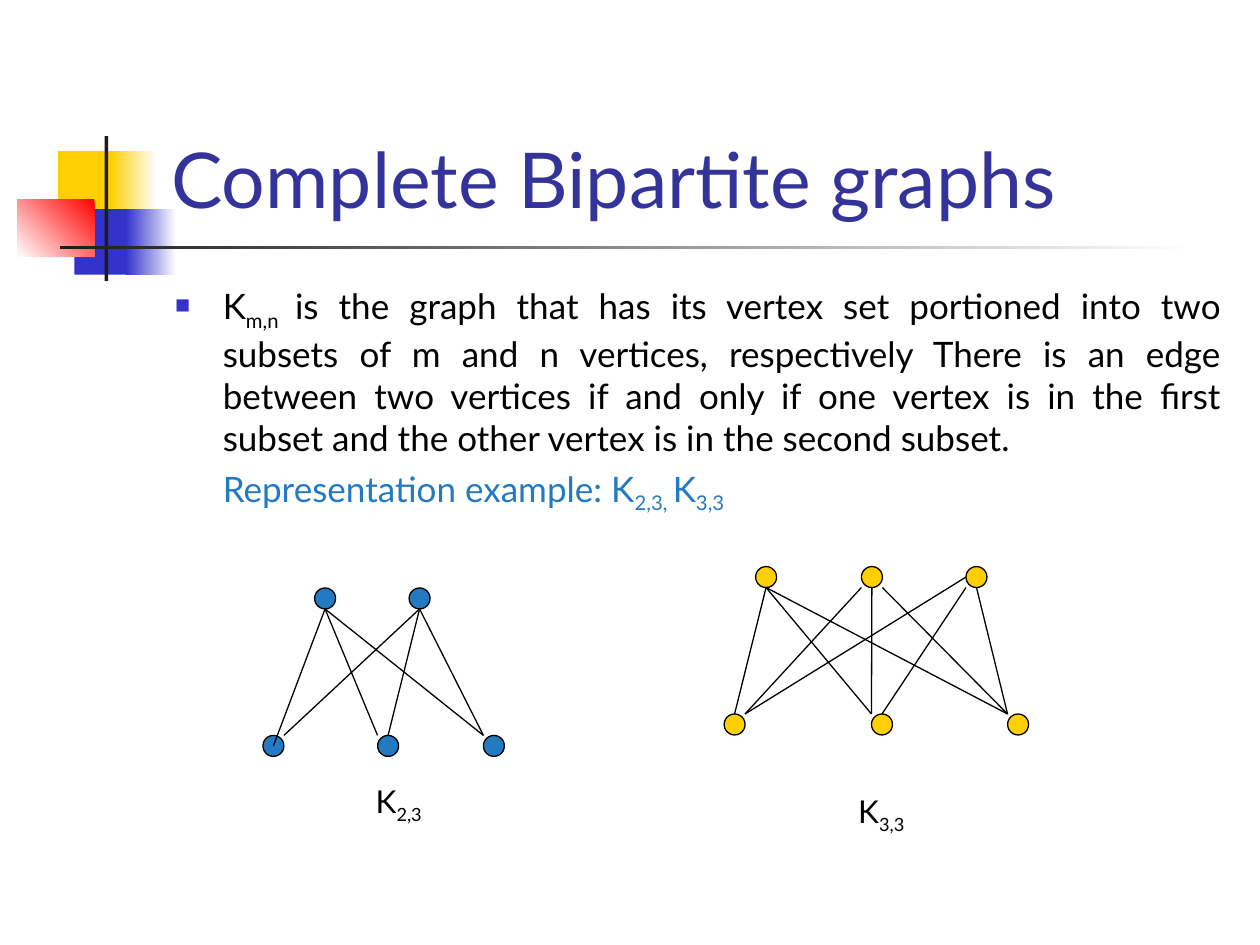
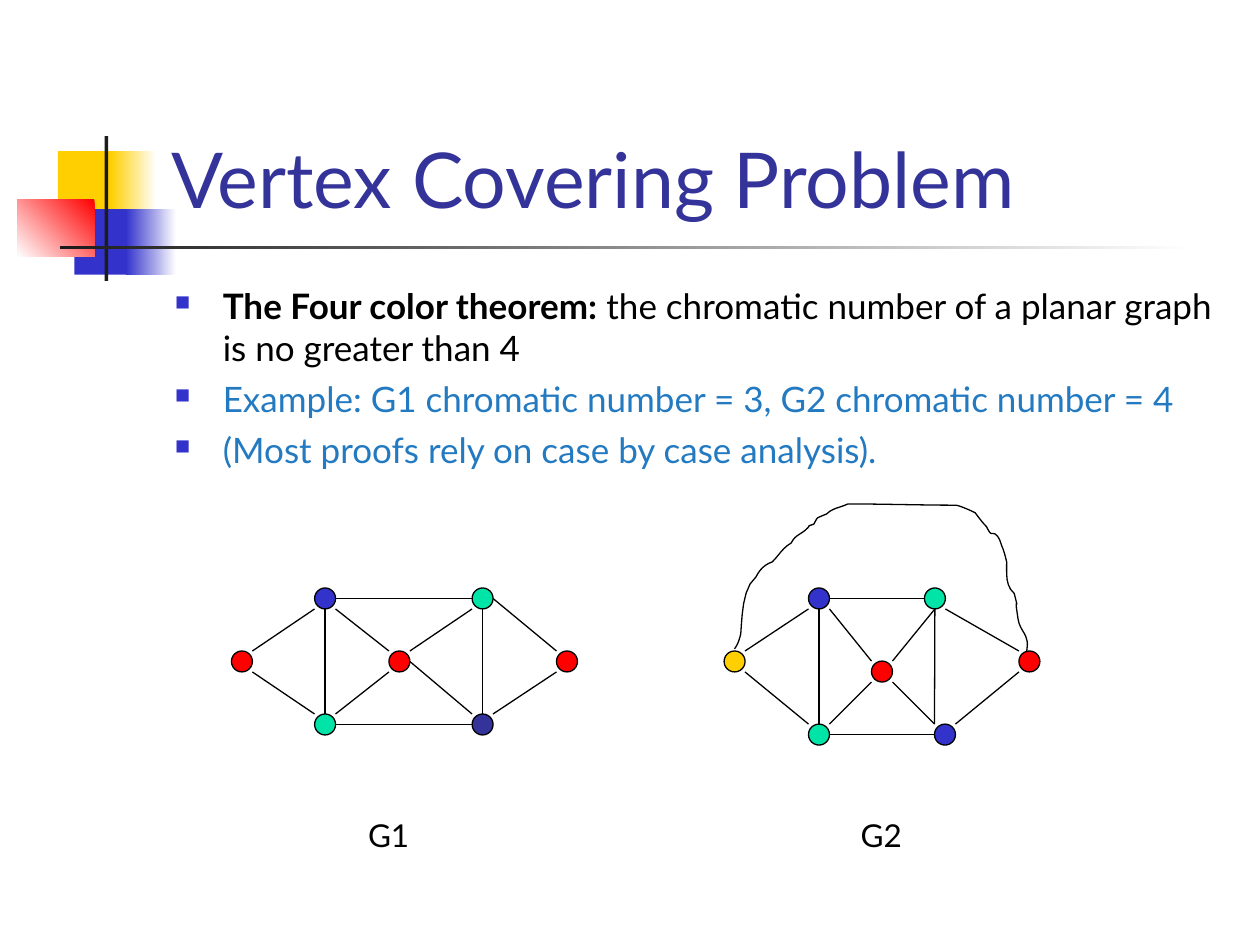
from dataclasses import dataclass
from typing import NamedTuple

from lxml.etree import SubElement
from pptx import Presentation
from pptx.dml.color import RGBColor
from pptx.enum.shapes import MSO_CONNECTOR, MSO_SHAPE
from pptx.enum.text import MSO_ANCHOR, MSO_AUTO_SIZE, PP_ALIGN
from pptx.oxml.ns import qn
from pptx.util import Inches, Pt

FONT = "Lato"
BLACK, WHITE, CHARCOAL = "000000", "FFFFFF", "1C1C1C"
NAVY, BLUE, SKY = "333399", "3333CC", "237AC1"
YELLOW, RED, GREEN = "FFCF01", "FF0000", "00E4A8"
RADIUS = 1 / 12
LINE_WIDTH = Pt(0.75)

# Unit offsets from a vertex centre to the point where an edge ends
COMPASS = {"n": (0, -1), "ne": (1, -1), "e": (1, 0), "se": (1, 1), "s": (0, 1),
           "sw": (-1, 1), "w": (-1, 0), "nw": (-1, -1), "mid": (0, 0)}


class Run(NamedTuple):
    text: str
    color: str = BLACK
    bold: bool = False
    sub: bool = False


class Paragraph(NamedTuple):
    runs: list[Run]
    bullet: bool = True
    align: PP_ALIGN = PP_ALIGN.LEFT


class Band(NamedTuple):
    left: float
    top: float
    width: float
    height: float
    colors: tuple[str, ...]
    angle: int = 180


class Vertex(NamedTuple):
    x: float
    y: float
    color: str


@dataclass
class Graph:
    """Edges read "vertex.side-vertex.side", separated by spaces."""
    vertices: dict[str, Vertex]
    edges: str
    label: list[Run]
    label_left: float
    label_top: float


BANDS = [
    Band(0.46, 1.2, 0.48, 0.52, (YELLOW,)),
    Band(0.88, 1.2, 0.36, 0.52, (WHITE, YELLOW)),
    Band(0.59, 1.66, 0.46, 0.52, (BLUE,)),
    Band(1, 1.66, 0.4, 0.52, (WHITE, BLUE)),
    Band(0.14, 1.58, 0.61, 0.46, (RED, WHITE), 225),
    Band(0.83, 1.08, 0.03, 1.15, (CHARCOAL,)),
    Band(0.48, 1.95, 9, 0.03, (WHITE, CHARCOAL)),
]


def row(names: str, xs: list[float], y: float, color: str) -> dict[str, Vertex]:
    """Vertices of one colour at one height."""
    return {name: Vertex(x, y, color) for name, x in zip(names, xs)}


K23 = Graph(
    row("ab", [2.58, 3.33], 4.75, SKY) | row("cde", [2.17, 3.08, 3.92], 5.92, SKY),
    "a.s-c.mid a.s-d.nw a.s-e.nw b.s-c.ne b.s-d.n b.s-e.nw",
    [Run("K"), Run("2,3", sub=True)], 3, 6.25)
K33 = Graph(
    row("abc", [6.08, 6.92, 7.75], 4.58, YELLOW)
    | row("def", [5.83, 7, 8.08], 5.75, YELLOW),
    "a.s-d.n a.s-e.nw a.s-f.nw b.sw-d.ne b.s-e.nw b.se-f.nw c.w-d.ne c.sw-e.n c.s-f.nw",
    [Run("K"), Run("3,3", sub=True)], 6.83, 6.33)

# Both planar graphs: a, b on top, c, d below, and l, m, r from left to right
PLANAR_EDGES = ("a.e-b.w c.e-d.w a.s-c.n a.se-m.nw c.ne-m.sw "
                "l.ne-a.sw l.se-c.nw d.ne-r.sw ")
G1 = Graph(
    {"a": Vertex(2.58, 4.75, BLUE), "b": Vertex(3.83, 4.75, GREEN),
     "c": Vertex(2.58, 5.75, GREEN), "d": Vertex(3.83, 5.75, NAVY)}
    | row("lmr", [1.92, 3.17, 4.5], 5.25, RED),
    PLANAR_EDGES + "m.ne-b.sw m.e-d.nw b.s-d.n b.e-r.nw",
    [Run("G1")], 2.92, 6.5)
G2 = Graph(
    {"a": Vertex(6.5, 4.75, BLUE), "b": Vertex(7.42, 4.75, GREEN),
     "c": Vertex(6.5, 5.83, GREEN), "d": Vertex(7.5, 5.83, BLUE),
     "l": Vertex(5.83, 5.25, YELLOW), "m": Vertex(7, 5.33, RED),
     "r": Vertex(8.17, 5.25, RED)},
    PLANAR_EDGES + "m.ne-b.s m.se-d.nw b.s-d.nw b.se-r.nw",
    [Run("G2")], 6.83, 6.5)

# The outer edge of G2: a start, then two control points and an end per curve
OUTER_START = (5.83, 5.15)
OUTER_CURVES = [
    (5.86, 5.11, 5.87, 5.07, 5.88, 5.03), (5.89, 4.9, 5.89, 4.67, 6, 4.58),
    (6.03, 4.52, 6.07, 4.48, 6.13, 4.46), (6.19, 4.4, 6.21, 4.35, 6.28, 4.31),
    (6.31, 4.25, 6.34, 4.25, 6.39, 4.21), (6.46, 4.15, 6.38, 4.19, 6.46, 4.16),
    (6.47, 4.14, 6.48, 4.12, 6.49, 4.11), (6.51, 4.1, 6.56, 4.08, 6.56, 4.08),
    (6.61, 4.03, 6.67, 4.03, 6.73, 4), (7.01, 4, 7.3, 4.01, 7.59, 4.01),
    (7.64, 4.02, 7.74, 4.07, 7.74, 4.07), (7.77, 4.11, 7.8, 4.15, 7.83, 4.18),
    (7.84, 4.2, 7.85, 4.22, 7.86, 4.23), (7.87, 4.24, 7.89, 4.23, 7.9, 4.24),
    (7.93, 4.26, 7.94, 4.3, 7.95, 4.33), (7.97, 4.37, 7.99, 4.46, 7.99, 4.46),
    (7.99, 4.56, 7.98, 4.65, 8.05, 4.71), (8.1, 4.91, 8.04, 4.66, 8.08, 4.91),
    (8.09, 4.99, 8.14, 5.02, 8.15, 5.08), (8.16, 5.11, 8.15, 5.14, 8.15, 5.17),
]


def rgb(color: str) -> RGBColor:
    return RGBColor.from_string(color)


def write(paragraph, text: str, *, size: float, color: str = BLACK,
          bold: bool = False, sub: bool = False) -> None:
    run = paragraph.add_run()
    run.text = text
    run.font.name, run.font.size, run.font.bold = FONT, Pt(size), bold
    run.font.color.rgb = rgb(color)
    if sub:
        run._r.get_or_add_rPr().set("baseline", "-25000")


def write_runs(paragraph, runs: list[Run], size: float) -> None:
    for run in runs:
        write(paragraph, run.text, size=size, color=run.color, bold=run.bold, sub=run.sub)


def add_filled(slide, preset, left: float, top: float, width: float, height: float,
               fill: str, outline: str | None = None):
    shape = slide.shapes.add_shape(preset, Inches(left), Inches(top),
                                   Inches(width), Inches(height))
    shape.shadow.inherit = False
    shape.fill.solid()
    shape.fill.fore_color.rgb = rgb(fill)
    if outline:
        shape.line.color.rgb, shape.line.width = rgb(outline), LINE_WIDTH
    else:
        shape.line.fill.background()
    return shape


def add_band(slide, band: Band) -> None:
    shape = add_filled(slide, MSO_SHAPE.RECTANGLE, band.left, band.top,
                       band.width, band.height, band.colors[0])
    if len(band.colors) > 1:
        shape.fill.gradient()
        shape.fill.gradient_angle = band.angle
        for stop, color, position in zip(shape.fill.gradient_stops, band.colors, (0, 1)):
            stop.color.rgb, stop.position = rgb(color), position


def add_titled_slide(deck, heading: str):
    slide = deck.slides.add_slide(deck.slide_layouts[5])
    for band in BANDS:
        add_band(slide, band)
    title = slide.shapes.title
    title.left, title.top = Inches(1.26), Inches(0.23)
    title.width, title.height = Inches(8.52), Inches(1.6)
    frame = title.text_frame
    frame.auto_size, frame.vertical_anchor = MSO_AUTO_SIZE.NONE, MSO_ANCHOR.BOTTOM
    frame.paragraphs[0].alignment = PP_ALIGN.LEFT
    write(frame.paragraphs[0], heading, size=44, color=NAVY)
    return slide


def set_indent(paragraph, bullet: bool) -> None:
    properties = paragraph._p.get_or_add_pPr()
    properties.set("marL", str(Inches(0.38)))
    properties.set("indent", str(-Inches(0.38) if bullet else 0))
    if bullet:
        color = SubElement(properties, qn("a:buClr"))
        SubElement(color, qn("a:srgbClr"), val=BLUE)
        SubElement(properties, qn("a:buSzPct"), val="60000")
        SubElement(properties, qn("a:buChar"), char="■")


def add_body(slide, height: float, paragraphs: list[Paragraph]) -> None:
    frame = slide.shapes.add_textbox(Inches(1.29), Inches(2.21),
                                     Inches(8.5), Inches(height)).text_frame
    frame.word_wrap = True
    for index, content in enumerate(paragraphs):
        paragraph = frame.add_paragraph() if index else frame.paragraphs[0]
        set_indent(paragraph, content.bullet)
        paragraph.alignment = content.align
        if index:
            paragraph.space_before = Pt(5)
        write_runs(paragraph, content.runs, 20)


def edge_end(graph: Graph, end: str) -> tuple[int, int]:
    name, side = end.split(".")
    vertex, (dx, dy) = graph.vertices[name], COMPASS[side]
    return Inches(vertex.x + dx * RADIUS), Inches(vertex.y + dy * RADIUS)


def add_graph(slide, graph: Graph) -> None:
    for vertex in graph.vertices.values():
        add_filled(slide, MSO_SHAPE.OVAL, vertex.x - RADIUS, vertex.y - RADIUS,
                   2 * RADIUS, 2 * RADIUS, vertex.color, BLACK)
    for edge in graph.edges.split():
        start, end = (edge_end(graph, part) for part in edge.split("-"))
        line = slide.shapes.add_connector(MSO_CONNECTOR.STRAIGHT, *start, *end)
        line.line.color.rgb, line.line.width = rgb(BLACK), LINE_WIDTH
        SubElement(line._element.spPr, qn("a:effectLst"))
    label = add_filled(slide, MSO_SHAPE.RECTANGLE, graph.label_left, graph.label_top,
                       0.33, 0.25, WHITE, WHITE)
    frame = label.text_frame
    frame.word_wrap, frame.vertical_anchor = False, MSO_ANCHOR.MIDDLE
    frame.paragraphs[0].alignment = PP_ALIGN.CENTER
    write_runs(frame.paragraphs[0], graph.label, 18)


def add_outer_edge(slide, steps: int = 6) -> None:
    """Draw the cubic curves as one fine polyline."""
    points, (x, y) = [], OUTER_START
    for x1, y1, x2, y2, x3, y3 in OUTER_CURVES:
        for step in range(1, steps + 1):
            t = step / steps
            weights = ((1 - t) ** 3, 3 * t * (1 - t) ** 2, 3 * t * t * (1 - t), t ** 3)
            points.append(tuple(Inches(sum(w * c for w, c in zip(weights, axis)))
                                for axis in ((x, x1, x2, x3), (y, y1, y2, y3))))
        x, y = x3, y3
    builder = slide.shapes.build_freeform(*(Inches(c) for c in OUTER_START))
    builder.add_line_segments(points, close=False)
    outline = builder.convert_to_shape()
    outline.shadow.inherit = False
    outline.fill.background()
    outline.line.color.rgb, outline.line.width = rgb(BLACK), LINE_WIDTH


def add_bipartite_slide(deck) -> None:
    slide = add_titled_slide(deck, "Complete Bipartite graphs")
    add_body(slide, 1.96, [
        Paragraph([
            Run("K"), Run("m,n ", sub=True),
            Run("is the graph that has its vertex set portioned into two subsets of m and n "
                "vertices, respectively There is an edge between two vertices if and only if "
                "one vertex is in the first subset and the other vertex is in the second "
                "subset."),
        ], align=PP_ALIGN.JUSTIFY),
        Paragraph([
            Run("Representation example: K", SKY), Run("2,3, ", SKY, sub=True),
            Run("K", SKY), Run("3,3", SKY, sub=True),
        ], bullet=False, align=PP_ALIGN.JUSTIFY),
    ])
    for graph in (K23, K33):
        add_graph(slide, graph)


def add_covering_slide(deck) -> None:
    slide = add_titled_slide(deck, "Vertex Covering Problem")
    add_body(slide, 4.5, [
        Paragraph([Run("The Four color theorem:", bold=True),
                   Run(" the chromatic number of a planar graph is no greater than 4")]),
        Paragraph([Run("Example: G1 chromatic number = 3, G2 chromatic number = 4", SKY)]),
        Paragraph([Run("(Most proofs rely on case by case analysis).", SKY)]),
    ])
    for graph in (G1, G2):
        add_graph(slide, graph)
    add_outer_edge(slide)


def main() -> None:
    deck = Presentation()
    deck.slide_width, deck.slide_height = Inches(10), Inches(7.5)
    add_bipartite_slide(deck)
    add_covering_slide(deck)
    deck.save("out.pptx")


if __name__ == "__main__":
    main()
